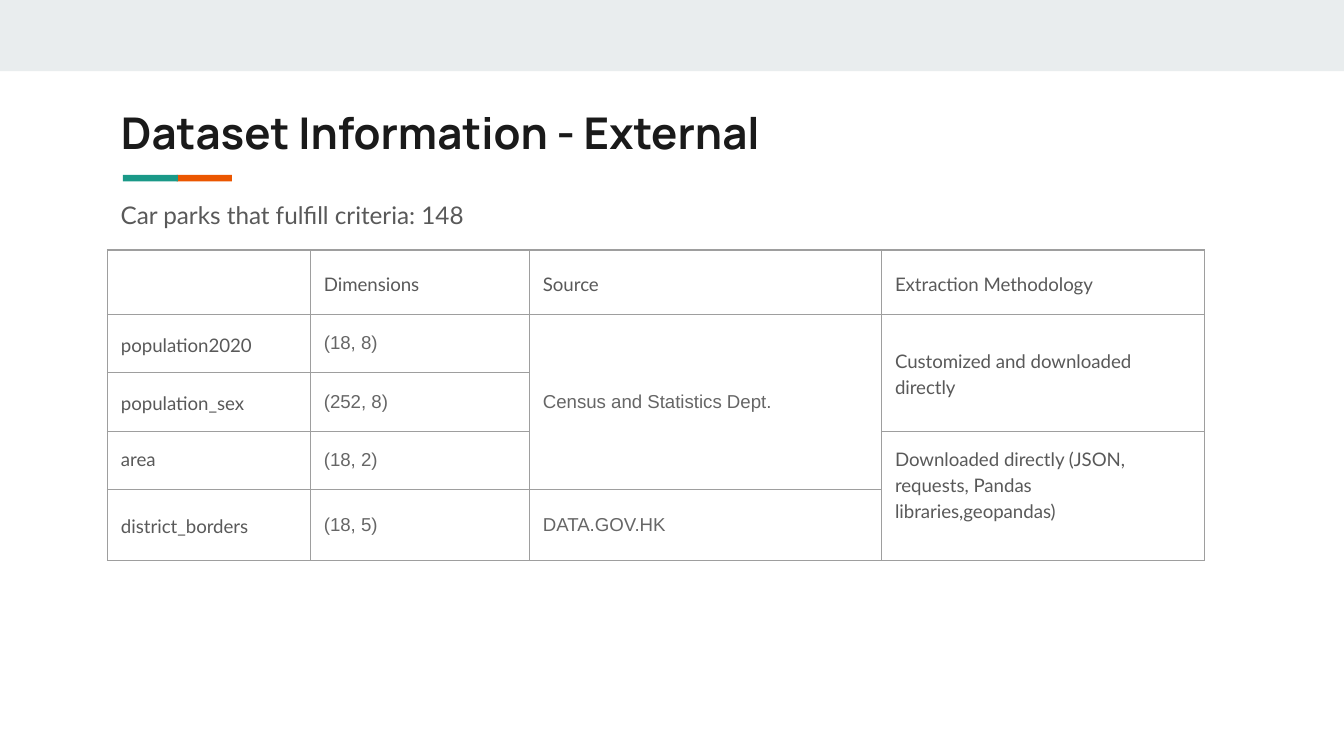
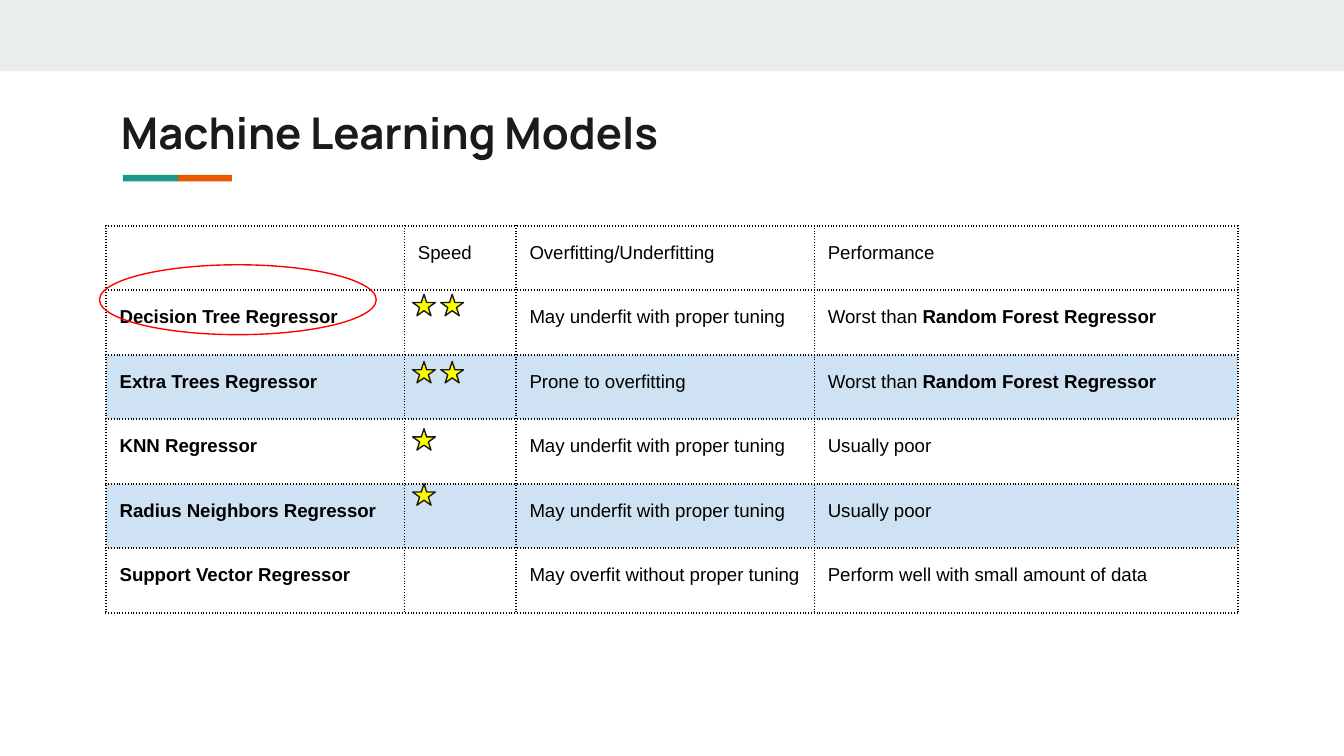
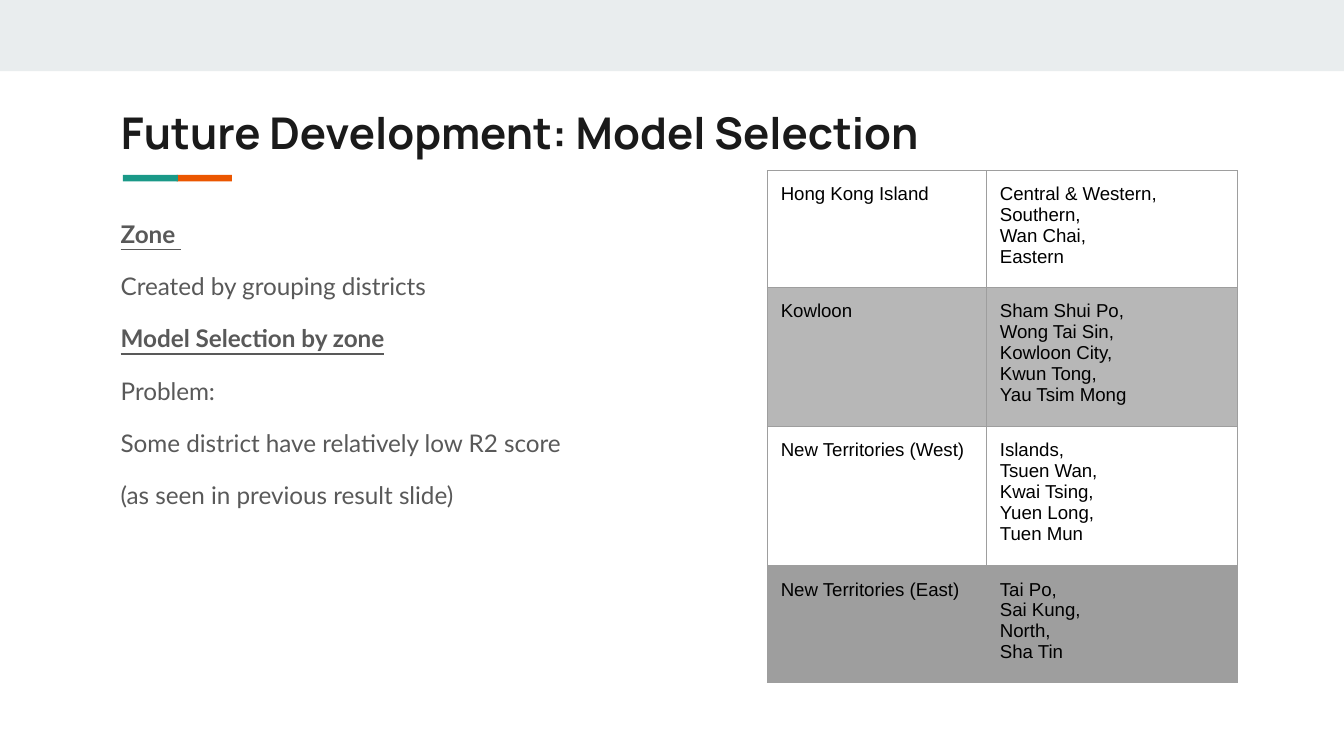
from lxml import etree
from pptx import Presentation
from pptx.dml.color import RGBColor
from pptx.enum.shapes import MSO_SHAPE
from pptx.enum.text import MSO_ANCHOR, MSO_AUTO_SIZE, PP_ALIGN
from pptx.oxml.ns import qn
from pptx.util import Inches, Pt

RECT, STAR, OVAL = MSO_SHAPE.RECTANGLE, MSO_SHAPE.STAR_5_POINT, MSO_SHAPE.OVAL
TOP, MIDDLE = MSO_ANCHOR.TOP, MSO_ANCHOR.MIDDLE
LEFT_ALIGN, NO_FIT = PP_ALIGN.LEFT, MSO_AUTO_SIZE.NONE
rgb = RGBColor.from_string

W, H = 10, 5.625
LEFT, PAD = 0.08 * W, 0.1
INK, GREY, MID, BLACK = "1A1A1A", "595959", "9E9E9E", "000000"
BAND, TEAL, ORANGE, BLUE = "E9EDEE", "1A9988", "EB5600", "CFE2F3"
MARGINS = {f"margin_{side}": Inches(PAD) for side in ("left", "right", "top", "bottom")}

RULE_X, RULE_Y, RULE_W, RULE_H = 0.91, 1.3, 0.81, 0.05
SCALE_X, SCALE_Y = 0.7, 1.82
BAR_LEN, BAR_THICK = 0.41 / SCALE_X, RULE_H / SCALE_Y

TITLE = {"name": "Manrope", "size": Pt(23.4), "bold": True, "color": INK}
BODY = {"name": "Lato", "size": Pt(13), "color": GREY}
LATO = {"name": "Lato", "size": Pt(10), "color": GREY}
ARIAL = {"name": "Arial", "size": Pt(10), "color": BLACK}
ARIAL_GREY = {**ARIAL, "color": "666666"}
SPACED = {"line_spacing": 1.15, "space_after": Pt(12)}
LOOSE = {"line_spacing": 1.15}


def write(tf, lines, font, para):
    for i, line in enumerate(lines):
        p = tf.paragraphs[0] if i == 0 else tf.add_paragraph()
        p.alignment = LEFT_ALIGN
        for key, value in para.items():
            if i or key != "space_before":
                setattr(p, key, value)
        for j, part in enumerate(line.split("**")):
            if part:
                r = p.add_run()
                r.text = part
                for key, value in {"bold": j % 2 == 1, **font}.items():
                    if key == "color":
                        r.font.color.rgb = rgb(value)
                    else:
                        setattr(r.font, key, value)
        if not line:
            etree.SubElement(p._p, qn("a:endParaRPr"), sz=str(int(font["size"].pt * 100)))


def add_grid(s, x, y, cols, rows, border, width, dash, fills):
    frame = s.shapes.add_table(len(rows), len(cols), Inches(x), Inches(y),
                               Inches(sum(cols)), Inches(sum(rows)))
    table = frame.table
    table.first_row = table.horz_banding = False
    for col, size in zip(table.columns, cols):
        col.width = Inches(size)
    for row, size, fill in zip(table.rows, rows, fills):
        row.height = Inches(size)
        for cell in row.cells:
            for key, value in MARGINS.items():
                setattr(cell, key, value)
            tcPr = cell._tc.get_or_add_tcPr()
            for side in ("lnL", "lnR", "lnT", "lnB"):
                ln = etree.SubElement(tcPr, qn(f"a:{side}"), w=str(Pt(width)))
                solid = etree.SubElement(ln, qn("a:solidFill"))
                etree.SubElement(solid, qn("a:srgbClr"), val=border)
                etree.SubElement(ln, qn("a:prstDash"), val=dash)
            if fill:
                cell.fill.solid()
                cell.fill.fore_color.rgb = rgb(fill)
            else:
                cell.fill.background()
    return table


prs = Presentation()
prs.slide_width, prs.slide_height = Inches(W), Inches(H)

slides = []
for title in ("Dataset Information - External", "Machine Learning Models",
              "Future Development: Model Selection"):
    s = prs.slides.add_slide(prs.slide_layouts[5])
    rule = s.shapes.add_group_shape()
    bars = [(s, 0, 0, W, 0.53, 0, BAND)]
    for center, color in ((1.52, ORANGE), (1.12, TEAL)):
        bars.append((rule, (center - RULE_X) / SCALE_X - BAR_THICK / 2,
                     (BAR_THICK - BAR_LEN) / 2, BAR_THICK, BAR_LEN, 270, color))
    for parent, x, y, w, h, angle, color in bars:
        sp = parent.shapes.add_shape(RECT, Inches(x), Inches(y), Inches(w), Inches(h))
        sp.rotation = angle
        sp.shadow.inherit = False
        sp.fill.solid()
        sp.fill.fore_color.rgb = rgb(color)
        sp.line.fill.background()
    rule.left, rule.top, rule.width, rule.height = (
        Inches(v) for v in (RULE_X, RULE_Y, RULE_W, RULE_H))
    xfrm = rule._element.grpSpPr.find(qn("a:xfrm"))
    for tag, values in (("a:chOff", {"x": 0, "y": 0}),
                        ("a:chExt", {"cx": RULE_W / SCALE_X, "cy": BAR_THICK})):
        for key, value in values.items():
            xfrm.find(qn(tag)).set(key, str(Inches(value)))
    sp = s.shapes.title
    sp.left, sp.top, sp.width, sp.height = (Inches(v) for v in (LEFT, 0.69, 8.41, 0.59))
    tf = sp.text_frame
    for key, value in {**MARGINS, "word_wrap": True, "auto_size": NO_FIT,
                       "vertical_anchor": TOP}.items():
        setattr(tf, key, value)
    write(tf, [title], TITLE, {})
    slides.append(s)
data_slide, model_slide, zone_slide = slides

texts = (
    (data_slide, 1.36, 3.28, 0.42, SPACED, ["Car parks that fulfill criteria: 148"]),
    (zone_slide, 1.5, 3.93, 3.57, {**LOOSE, "space_before": Pt(10)},
     ["**Zone **", "Created by grouping districts", "**Model Selection by zone**", "Problem:",
      "Some district have relatively low R2 score", "(as seen in previous result slide)"]),
)
for s, y, w, h, para, lines in texts:
    tf = s.shapes.add_textbox(Inches(LEFT), Inches(y), Inches(w), Inches(h)).text_frame
    for key, value in {**MARGINS, "word_wrap": True}.items():
        setattr(tf, key, value)
    write(tf, lines, BODY, para)
    for p in tf.paragraphs:
        for r in p.runs:
            r.font.underline = r.font.bold

datasets = (
    ("", "Dimensions", "Source", "Extraction Methodology"),
    ("population2020", "(18, 8)", "Census and Statistics Dept.",
     "Customized and downloaded directly"),
    ("population_sex", "(252, 8)", None, None),
    ("area", "(18, 2)", None,
     "Downloaded directly (JSON, requests, Pandas libraries,geopandas)"),
    ("district_borders", "(18, 5)", "DATA.GOV.HK", None),
)
table = add_grid(data_slide, LEFT, 1.86, (1.51, 1.63, 2.62, 2.4),
                 (0.48, 0.43, 0.44, 0.43, 0.53), MID, 0.75, "solid", [None] * 5)
for first, last, col in ((1, 3, 2), (1, 2, 3), (3, 4, 3)):
    table.cell(first, col).merge(table.cell(last, col))
for i, row in enumerate(datasets):
    for j, text in enumerate(row):
        if text is not None:
            cell = table.cell(i, j)
            cell.vertical_anchor = MIDDLE
            if i and j in (1, 2):
                write(cell.text_frame, [text], ARIAL_GREY, {})
            else:
                write(cell.text_frame, [text], LATO, SPACED)
table.cell(3, 0).text_frame.paragraphs[0].line_spacing = 0.95
table.cell(3, 3).text_frame.paragraphs[0].space_after = Pt(0)
table.cell(3, 3).margin_bottom = Inches(0.28)

models = (
    ("", "Speed", "Overfitting/Underfitting", "Performance"),
    ("**Decision Tree Regressor**", "", "May underfit with proper tuning",
     "Worst than **Random Forest Regressor**"),
    ("**Extra Trees Regressor**", "", "Prone to overfitting",
     "Worst than **Random Forest Regressor**"),
    ("**KNN Regressor**", "", "May underfit with proper tuning", "Usually poor"),
    ("**Radius Neighbors Regressor**", "", "May underfit with proper tuning", "Usually poor"),
    ("**Support Vector Regressor**", "", "May overfit without proper tuning",
     "Perform well with small amount of data"),
)
table = add_grid(model_slide, 0.79, 1.68, (2.22, 0.83, 2.22, 3.15), [0.48] * 6,
                 BLACK, 1, "dot", (None, None, BLUE, None, BLUE, None))
for i, row in enumerate(models):
    for j, text in enumerate(row):
        write(table.cell(i, j).text_frame, [text], ARIAL, LOOSE)

marks = [(STAR, 3.07 + 0.21 * k, y, 0.17, 0.16, "FFFF00", INK)
         for count, y in ((2, 2.19), (2, 2.69), (1, 3.19), (1, 3.6)) for k in range(count)]
marks.append((OVAL, 0.74, 1.97, 2.06, 0.52, None, "FF0000"))
for kind, x, y, w, h, fill, line in marks:
    sp = model_slide.shapes.add_shape(kind, Inches(x), Inches(y), Inches(w), Inches(h))
    sp.shadow.inherit = False
    if fill:
        sp.fill.solid()
        sp.fill.fore_color.rgb = rgb(fill)
    else:
        sp.fill.background()
    sp.line.color.rgb = rgb(line)
    sp.line.width = Pt(0.75)

zones = (
    ("Hong Kong Island", ["Central & Western, Southern,", "Wan Chai,", "Eastern"]),
    ("Kowloon", ["Sham Shui Po,", "Wong Tai Sin,", "Kowloon City,", "Kwun Tong,",
                 "Yau Tsim Mong"]),
    ("New Territories (West)", ["Islands,", "Tsuen Wan,", "Kwai Tsing,", "Yuen Long,",
                                "Tuen Mun"]),
    ("New Territories (East)", ["Tai Po,", "Sai Kung,", "North,", "Sha Tin"]),
)
table = add_grid(zone_slide, 5.71, 1.27, (1.63, 1.87), (0.87, 0.98, 0.98, 0.87),
                 MID, 0.75, "solid", (None, "B7B7B7", None, MID))
for i, (zone, districts) in enumerate(zones):
    write(table.cell(i, 0).text_frame, [zone], ARIAL, {})
    write(table.cell(i, 1).text_frame, districts, ARIAL, {})

prs.save("out.pptx")
